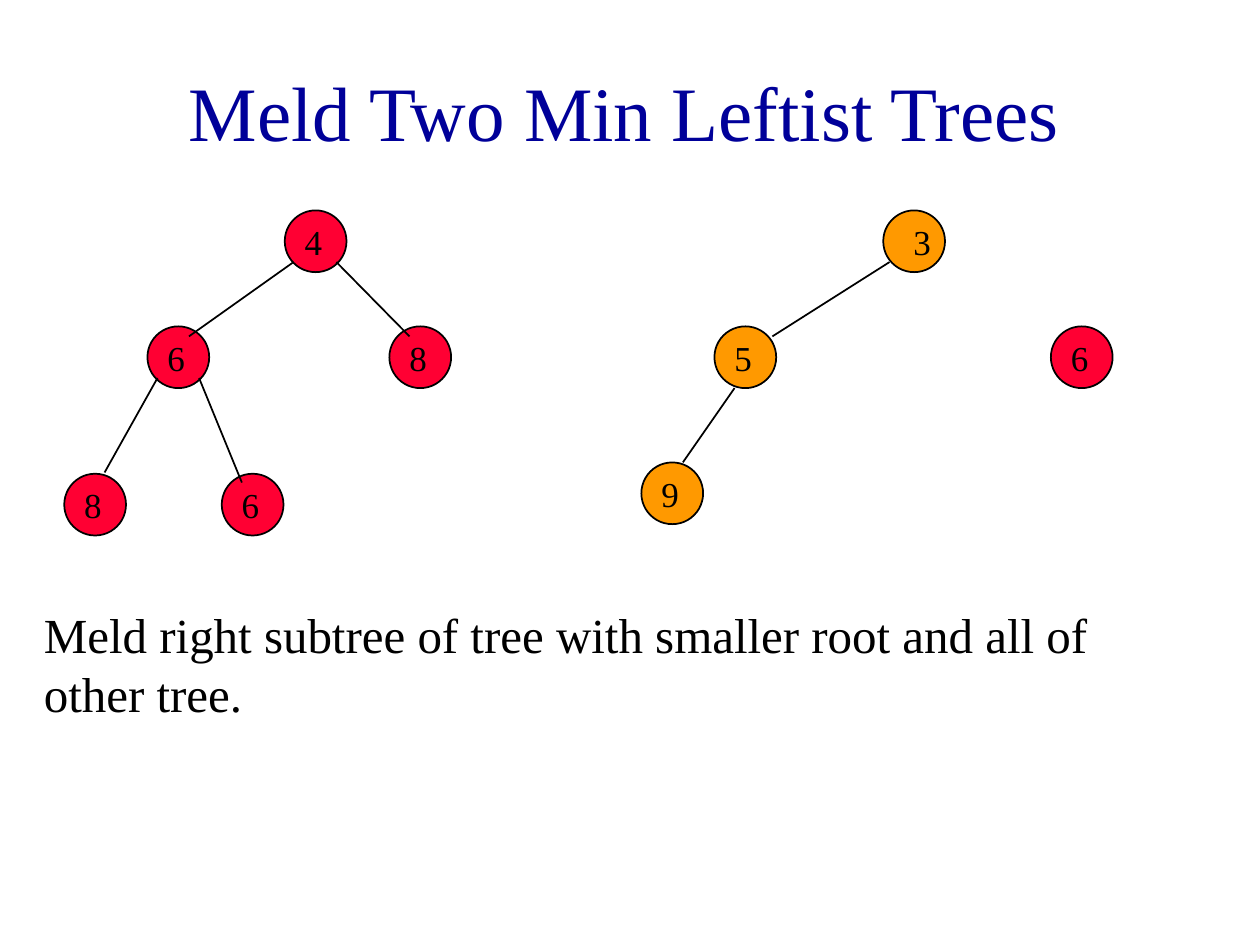
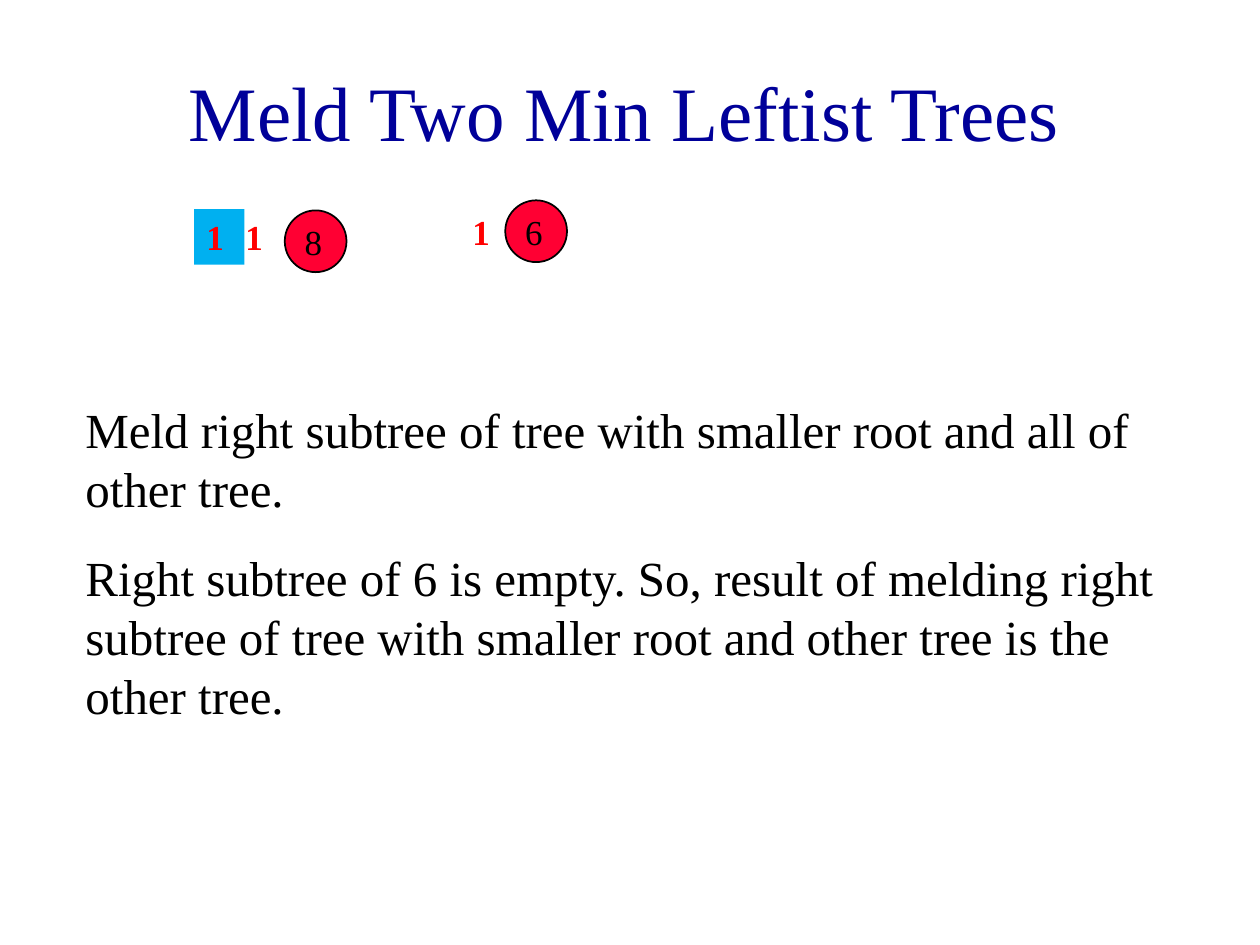
from pptx import Presentation
from pptx import util as u
from pptx.dml.color import RGBColor
from pptx.enum import shapes, text
from pptx.oxml.ns import qn
from lxml import etree

INK = {"title": "000099", "text": "000000", "red": "FF0033",
       "gold": "FF9900", "rank": "FF0000", "box": "00B0F0"}
FONT = "Times New Roman"
TITLE = "Meld Two Min Leftist Trees"
RULE = "Meld right subtree of tree with smaller root and all of other tree."
EMPTY = ("Right subtree of 6 is empty. So, result of melding right subtree "
         "of tree with smaller root and other tree is the other tree.")
SIZE = 0.49     # node diameter
SHIFT = 0.06    # from node edge to its key

# nodes: key, left, top, colour, key offset
# edges: from x, y, to x, y
# ranks: left, top, fill
# notes: box, paragraphs
SLIDES = [
    {"nodes": [("4", 2.26, 1.67, "red", SHIFT),
               ("6", 1.17, 2.59, "red", SHIFT),
               ("8", 3.09, 2.59, "red", SHIFT),
               ("8", 0.51, 3.76, "red", SHIFT),
               ("6", 1.76, 3.76, "red", SHIFT),
               ("3", 7.01, 1.67, "gold", 0.14),
               ("5", 5.67, 2.59, "gold", SHIFT),
               ("9", 5.09, 3.67, "gold", SHIFT),
               ("6", 8.34, 2.59, "red", SHIFT)],
     "edges": [(2.33, 2.08, 1.5, 2.67), (2.67, 2.08, 3.25, 2.67),
               (1.25, 3, 0.83, 3.75), (1.58, 3, 1.92, 3.83),
               (7.06, 2.08, 6.13, 2.67), (5.83, 3.08, 5.42, 3.67)],
     "ranks": [],
     "notes": ((0.25, 4.75, 8.75, 1.04), [RULE])},
    {"nodes": [("8", 2.26, 1.67, "red", SHIFT),
               ("6", 4.01, 1.59, "red", SHIFT)],
     "edges": [],
     "ranks": [(1.85, 1.66, None), (3.65, 1.62, None), (1.54, 1.66, "box")],
     "notes": ((0.58, 3.12, 8.75, 2.68), [RULE, EMPTY])},
]


def rgb(name):
    return RGBColor.from_string(INK[name])


def inches(*nums):
    return [u.Inches(n) for n in nums]


def write(frame, paras, size, ink="text", bold=False, wrap=True, gap=0):
    frame.word_wrap = wrap
    for i, words in enumerate(paras):
        para = frame.add_paragraph() if i else frame.paragraphs[0]
        para.alignment = text.PP_ALIGN.LEFT
        if i:
            para.space_before = u.Pt(gap)
        run = para.add_run()
        run.text = words
        font = run.font
        font.name, font.size, font.bold = FONT, u.Pt(size), bold
        font.color.rgb = rgb(ink)


def add_title(slide):
    title = slide.shapes.title
    title.left, title.top, title.width, title.height = inches(
        0.08, 0.25, 9.75, 1.25)
    frame = title.text_frame
    write(frame, [TITLE], 44, "title")
    frame.auto_size = text.MSO_AUTO_SIZE.NONE
    frame.vertical_anchor = text.MSO_ANCHOR.MIDDLE
    frame.paragraphs[0].alignment = text.PP_ALIGN.CENTER


def add_node(slide, key, x, y, ink, shift):
    disc = slide.shapes.add_shape(shapes.MSO_SHAPE.OVAL,
                                  *inches(x, y, SIZE, SIZE))
    disc.shadow.inherit = False
    disc.fill.solid()
    disc.fill.fore_color.rgb = rgb(ink)
    disc.line.color.rgb = rgb("text")
    disc.line.width = u.Pt(1)
    label = slide.shapes.add_textbox(*inches(x + shift, y + 0.03, 0.34, 0.43))
    write(label.text_frame, [key], 20, wrap=False)


def add_edge(slide, *ends):
    edge = slide.shapes.add_connector(shapes.MSO_CONNECTOR.STRAIGHT,
                                      *inches(*ends))
    edge.line.color.rgb = rgb("text")
    edge.line.width = u.Pt(1)
    etree.SubElement(edge._element.spPr, qn("a:effectLst"))


def add_rank(slide, x, y, fill):
    box = slide.shapes.add_textbox(*inches(x, y, 0.4, 0.44))
    if fill:
        box.fill.solid()
        box.fill.fore_color.rgb = rgb(fill)
    write(box.text_frame, ["1"], 20, "rank", bold=True)


def main():
    deck = Presentation()
    deck.slide_width, deck.slide_height = inches(10, 7.5)
    for plan in SLIDES:
        slide = deck.slides.add_slide(deck.slide_layouts.get_by_name("Title Only"))
        add_title(slide)
        for node in plan["nodes"]:
            add_node(slide, *node)
        for edge in plan["edges"]:
            add_edge(slide, *edge)
        area, paras = plan["notes"]
        notes = slide.shapes.add_textbox(*inches(*area))
        write(notes.text_frame, paras, 28, gap=17.5)
        for rank in plan["ranks"]:
            add_rank(slide, *rank)
    deck.save("out.pptx")


if __name__ == "__main__":
    main()
